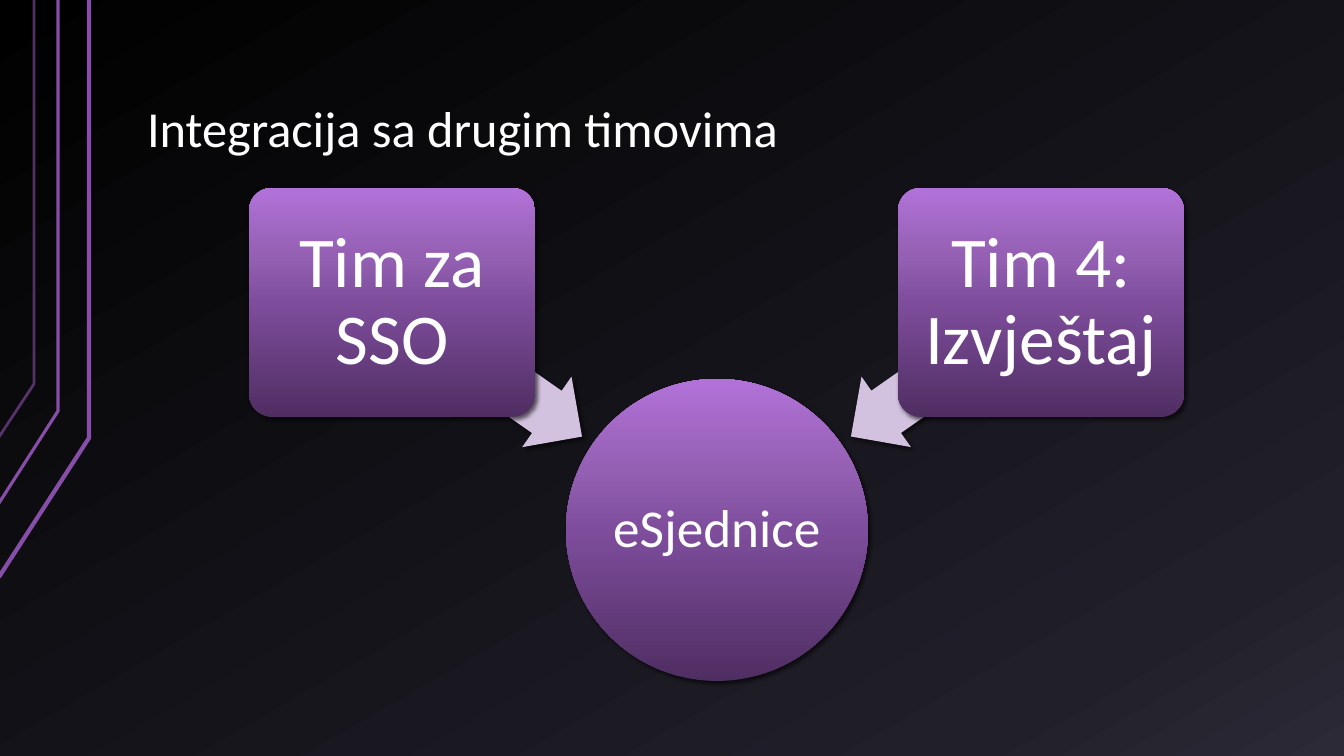
from dataclasses import dataclass

from lxml.etree import SubElement
from pptx import Presentation
from pptx.dml.color import RGBColor
from pptx.enum.shapes import MSO_SHAPE
from pptx.enum.text import MSO_ANCHOR, PP_ALIGN
from pptx.oxml import parse_xml
from pptx.oxml.ns import nsdecls, qn
from pptx.util import Emu, Pt

PIXEL = 914400 / 100.8


@dataclass(frozen=True)
class Theme:
    """Colours, font and type sizes of the slide."""
    font: str = "Calibri"
    text: str = "FFFFFF"
    line: str = "874EA9"
    arrow: str = "D3C2DF"
    background: tuple = ((0, "000000"), (85, "211F29"), (100, "2C2A37"))
    node: tuple = ((0, "4F2E62"), (50, "7E4D9C"), (70, "9460B3"), (100, "B172D8"))
    title_size: int = 36
    circle_size: int = 38
    team_size: int = 51


theme = Theme()


def paint_gradient(fill, owner, stops, angle):
    """Give the fill inside the owner element a linear gradient."""
    fill.gradient()
    gradient = owner.find(".//" + qn("a:gradFill"))
    stop_list = gradient.find(qn("a:gsLst"))
    for stop in list(stop_list):
        stop_list.remove(stop)
    for position, color in stops:
        stop = SubElement(stop_list, qn("a:gs"), pos=str(position * 1000))
        SubElement(stop, qn("a:srgbClr"), val=color)
    gradient.find(qn("a:lin")).set("ang", str(angle * 60000))


def write_text(shape, text, size, anchor, alignment, insets):
    """Write one paragraph into a shape, with insets in pixels."""
    frame = shape.text_frame
    frame.word_wrap = True
    frame.vertical_anchor = anchor
    horizontal, vertical = (Emu(round(inset * PIXEL)) for inset in insets)
    frame.margin_left = frame.margin_right = horizontal
    frame.margin_top = frame.margin_bottom = vertical
    paragraph = frame.paragraphs[0]
    paragraph.alignment = alignment
    paragraph.line_spacing = 0.9
    run = paragraph.add_run()
    run.text = text
    run.font.name = theme.font
    run.font.size = Pt(size)
    run.font.color.rgb = RGBColor.from_string(theme.text)


presentation = Presentation()
presentation.slide_width = Emu(round(1344 * PIXEL))
presentation.slide_height = Emu(round(756 * PIXEL))
slide = presentation.slides.add_slide(presentation.slide_layouts[6])
paint_gradient(slide.background.fill, slide._element, theme.background, 60)

# Bent lines at the left edge: start height, bend, width, opacity
for start_y, bend_x, bend_y, width, opacity in (
    (577, 89, 438, 3, 100),
    (503, 58, 411, 2.25, 100),
    (437, 34, 384, 2, 60),
):
    builder = slide.shapes.build_freeform(-1, start_y, scale=PIXEL)
    builder.add_line_segments([(bend_x, bend_y), (bend_x, 0)], close=False)
    bent_line = builder.convert_to_shape()
    bent_line.shadow.inherit = False
    bent_line.fill.background()
    bent_line.line.width = Pt(width)
    bent_line.line.color.rgb = RGBColor.from_string(theme.line)
    line_color = bent_line.line._ln.find(".//" + qn("a:srgbClr"))
    SubElement(line_color, qn("a:alpha"), val=str(opacity * 1000))

title = slide.shapes.add_textbox(
    *(Emu(round(length * PIXEL)) for length in (134, 30, 1142, 135)))
write_text(title, "Integracija sa drugim timovima", theme.title_size,
           MSO_ANCHOR.BOTTOM, PP_ALIGN.LEFT, (13, 7))

# Diagram: kind, box, rotation, adjustments, text, type size, inset
arrow_adjustments = (0.6, 0.5)
diagram = [(MSO_SHAPE.OVAL, (566, 379, 302, 302), 0, (),
            "eSjednice", theme.circle_size, 3)]
for team, team_left, arrow_left, rotation in (
    ("Tim za SSO", 249, 371, 215),
    ("Tim 4: Izvještaj", 898, 830, 325),
):
    diagram.append((MSO_SHAPE.LEFT_ARROW, (arrow_left, 327, 232, 86), rotation,
                    arrow_adjustments, "", 0, 0))
    diagram.append((MSO_SHAPE.ROUNDED_RECTANGLE, (team_left, 188, 286, 229), 0,
                    (0.1,), team, theme.team_size, 11))

for kind, box, rotation, adjustments, text, size, inset in diagram:
    shape = slide.shapes.add_shape(
        kind, *(Emu(round(length * PIXEL)) for length in box))
    shape.rotation = rotation
    for index, adjustment in enumerate(adjustments):
        shape.adjustments[index] = adjustment
    shape.line.fill.background()
    shape.shadow.inherit = False
    shape._element.spPr.find(qn("a:effectLst")).append(parse_xml(
        f'<a:outerShdw {nsdecls("a")} blurRad="{Pt(3)}" dist="{Pt(2)}" '
        'dir="2700000" rotWithShape="0"><a:srgbClr val="000000">'
        '<a:alpha val="60000"/></a:srgbClr></a:outerShdw>'))
    if text:
        paint_gradient(shape.fill, shape._element.spPr, theme.node, 270)
        write_text(shape, text, size, MSO_ANCHOR.MIDDLE, PP_ALIGN.CENTER,
                   (inset, inset))
    else:
        shape.fill.solid()
        shape.fill.fore_color.rgb = RGBColor.from_string(theme.arrow)

presentation.save("out.pptx")
